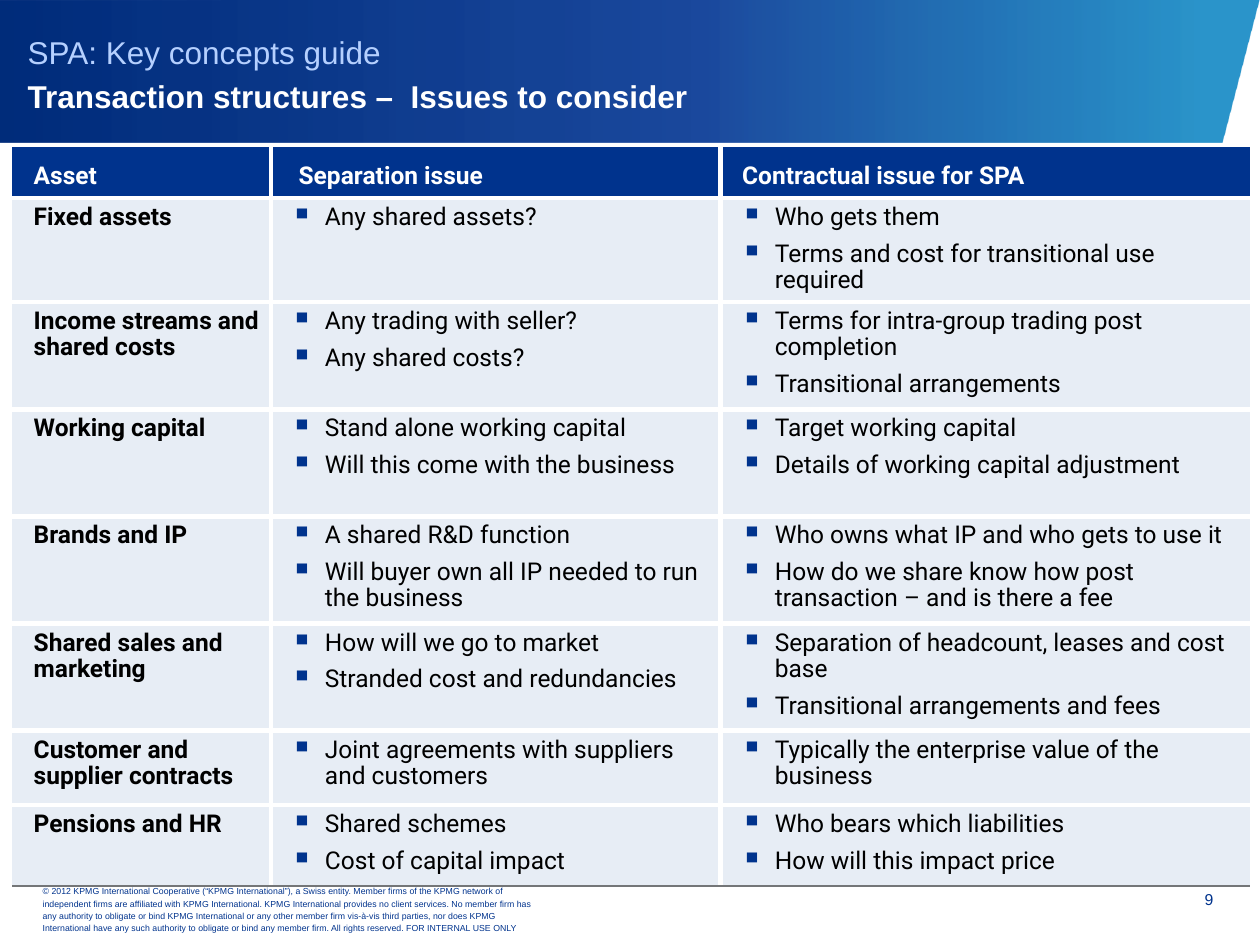
from dataclasses import dataclass

from lxml.etree import SubElement
from pptx import Presentation
from pptx.dml.color import RGBColor
from pptx.enum.shapes import MSO_CONNECTOR
from pptx.enum.text import MSO_ANCHOR, PP_ALIGN
from pptx.oxml.ns import qn
from pptx.util import Cm, Pt


@dataclass(frozen=True)
class Theme:
    navy: str = "00338D"
    pale: str = "E7EDF5"
    sky: str = "B5D0FF"
    grey: str = "747678"
    white: str = "FFFFFF"
    black: str = "000000"
    sans: str = "Arial"
    body: str = "Roboto"
    title: float = 18
    cell: float = 14
    page: float = 9
    legal: float = 5
    fade: tuple = ((4, "0080C0", 83), (44, "003492", 89), (100, "002C7A", 100))


THEME = Theme()
COLS = (5.21, 9.07, 10.67)
ROWS = (1.02, 1.63, 2.16, 2.16, 2.16, 2.16, 1.5, 1.63)
HEADS = ("Asset", "Separation issue", "Contractual issue for SPA")
INDENTS = (0.33, 0.46, 0.33)
ISSUES = (
    ("Fixed assets", ("Any shared assets?",),
     ("Who gets them", "Terms and cost for transitional use required")),
    ("Income streams and shared costs",
     ("Any trading with seller?", "Any shared costs?"),
     ("Terms for intra-group trading post completion",
      "Transitional arrangements")),
    ("Working capital",
     ("Stand alone working capital", "Will this come with the business"),
     ("Target working capital", "Details of working capital adjustment")),
    ("Brands and IP",
     ("A shared R&D function",
      "Will buyer own all IP needed to run the business"),
     ("Who owns what IP and who gets to use it",
      "How do we share know how post transaction – and is there a fee")),
    ("Shared sales and marketing",
     ("How will we go to market", "Stranded cost and redundancies"),
     ("Separation of headcount, leases and cost base",
      "Transitional arrangements and fees")),
    ("Customer and supplier contracts",
     ("Joint agreements with suppliers and customers",),
     ("Typically the enterprise value of the business",)),
    ("Pensions and HR", ("Shared schemes", "Cost of capital impact"),
     ("Who bears which liabilities", "How will this impact price")),
)
LEGAL = (
    "© 2012 KPMG International Cooperative (“KPMG International”), a Swiss "
    "entity. Member firms of the KPMG network of independent firms are "
    "affiliated with KPMG International. KPMG International provides no client "
    "services. No member firm has any authority to obligate or bind KPMG "
    "International or any other member firm vis-à-vis third parties, nor does "
    "KPMG International have any such authority to obligate or bind any member "
    "firm. All rights reserved. FOR INTERNAL USE ONLY"
)


def node(root, tag, **attrs):
    return SubElement(root, qn(tag), {k: str(v) for k, v in attrs.items()})


def paint(run, size, color, face, bold=False):
    font = run.font
    font.size = Pt(size)
    font.name = face
    font.bold = bold
    font.color.rgb = RGBColor.from_string(color)


def add_band(slide):
    form = slide.shapes.build_freeform(Cm(-0.03), Cm(2.87), scale=1.0)
    points = ((24.64, 2.87), (25.4, -0.03), (-0.03, 0))
    form.add_line_segments([(Cm(x), Cm(y)) for x, y in points], close=True)
    band = form.convert_to_shape()
    band.shadow.inherit = False
    band.line.fill.background()
    band.fill.gradient()
    grad = band.fill._fill._gradFill
    for part in list(grad):
        grad.remove(part)
    stops = node(grad, "a:gsLst")
    for pos, color, alpha in THEME.fade:
        stop = node(stops, "a:gs", pos=pos * 1000)
        tint = node(stop, "a:srgbClr", val=color)
        node(tint, "a:alpha", val=alpha * 1000)
    node(grad, "a:lin", ang=180 * 60000, scaled=0)


def add_rule(slide):
    rule = slide.shapes.add_connector(
        MSO_CONNECTOR.STRAIGHT, Cm(0.56), Cm(17.7), Cm(24.56), Cm(17.7))
    rule.line.color.rgb = RGBColor.from_string(THEME.navy)
    rule.line.width = Pt(0.25)
    node(rule._element.spPr, "a:effectLst")


def add_text(slide, area, text, looks, insets=(0, 0, 0, 0), space=None,
             anchor=MSO_ANCHOR.MIDDLE, align=PP_ALIGN.LEFT):
    box = slide.shapes.add_textbox(*map(Cm, area))
    frame = box.text_frame
    frame.word_wrap = True
    frame.vertical_anchor = anchor
    (frame.margin_left, frame.margin_top,
     frame.margin_right, frame.margin_bottom) = map(Cm, insets)
    line = frame.paragraphs[0]
    line.text = text
    line.alignment = align
    if space:
        line.line_spacing = Pt(space)
    for run, look in zip(line.runs, looks):
        paint(run, *look)


def add_edge(cell, side, color=None, width=0):
    edge = node(cell._tc.get_or_add_tcPr(), f"a:ln{side}", w=Pt(width))
    if color:
        node(node(edge, "a:solidFill"), "a:srgbClr", val=color)
    else:
        node(edge, "a:noFill")


def add_edges(cell, row, col):
    gap = (THEME.white, 3)
    foot = (THEME.grey, 1.5) if row == len(ROWS) - 1 else gap
    add_edge(cell, "L", *(gap if col else ()))
    add_edge(cell, "R", *(gap if col < len(COLS) - 1 else ()))
    add_edge(cell, "T", *(gap if row else ()))
    add_edge(cell, "B", *foot)


def add_bullet(props):
    node(node(props, "a:buClr"), "a:srgbClr", val=THEME.navy)
    node(props, "a:buSzPct", val=125000)
    node(props, "a:buChar", char="▪")


def fill_cell(cell, items, shade, color, bold, indent, bullet=False):
    cell.margin_left = cell.margin_right = Cm(0.1)
    cell.margin_top = cell.margin_bottom = Cm(0.15)
    cell.fill.solid()
    cell.fill.fore_color.rgb = RGBColor.from_string(shade)
    frame = cell.text_frame
    frame.text = "\n".join(items)
    for index, line in enumerate(frame.paragraphs):
        props = line._p.get_or_add_pPr()
        props.set("marL", str(Cm(indent)))
        props.set("indent", str(Cm(-0.69 if bullet else 0)))
        if bullet:
            add_bullet(props)
        line.line_spacing = Pt(15)
        line.space_before = Pt(3 if index else 0)
        line.space_after = Pt(3)
        paint(line.runs[0], THEME.cell, color, THEME.body, bold)


def add_grid(slide):
    shape = slide.shapes.add_table(
        len(ROWS), len(COLS), Cm(0.25), Cm(2.97), Cm(sum(COLS)), Cm(sum(ROWS)))
    table = shape.table
    table.horz_banding = False
    for col, width in zip(table.columns, COLS):
        col.width = Cm(width)
    for row, height in zip(table.rows, ROWS):
        row.height = Cm(height)
    for col, (head, indent) in enumerate(zip(HEADS, INDENTS)):
        cell = table.cell(0, col)
        add_edges(cell, 0, col)
        fill_cell(cell, [head], THEME.navy, THEME.white, True, indent)
        cell.vertical_anchor = MSO_ANCHOR.BOTTOM
    for row, (asset, *lists) in enumerate(ISSUES, 1):
        for col, items in enumerate(([asset], *lists)):
            cell = table.cell(row, col)
            add_edges(cell, row, col)
            fill_cell(cell, items, THEME.pale, THEME.black, col == 0,
                      0.99 if col else 0.33, col > 0)


def main():
    deck = Presentation()
    deck.slide_width, deck.slide_height = Cm(25.4), Cm(19.05)
    slide = deck.slides.add_slide(deck.slide_layouts[6])
    add_band(slide)
    add_rule(slide)
    add_text(slide, (0.61, 17.88, 10.54, 0.89), LEGAL,
             [(THEME.legal, THEME.navy, THEME.sans)],
             (0.25, 0.13, 0.25, 0.13), 7)
    add_text(slide, (23.06, 17.73, 1.4, 0.79), "9",
             [(THEME.page, THEME.navy, THEME.sans)], (0.2, 0.2, 0, 0),
             anchor=MSO_ANCHOR.TOP, align=PP_ALIGN.RIGHT)
    add_grid(slide)
    add_text(slide, (0.56, 0.33, 23.75, 2.21),
             "SPA: Key concepts guide\vTransaction structures –  Issues to consider",
             [(THEME.title, THEME.sky, THEME.sans),
              (THEME.title, THEME.white, THEME.sans, True)], space=25)
    deck.save("out.pptx")


if __name__ == "__main__":
    main()
